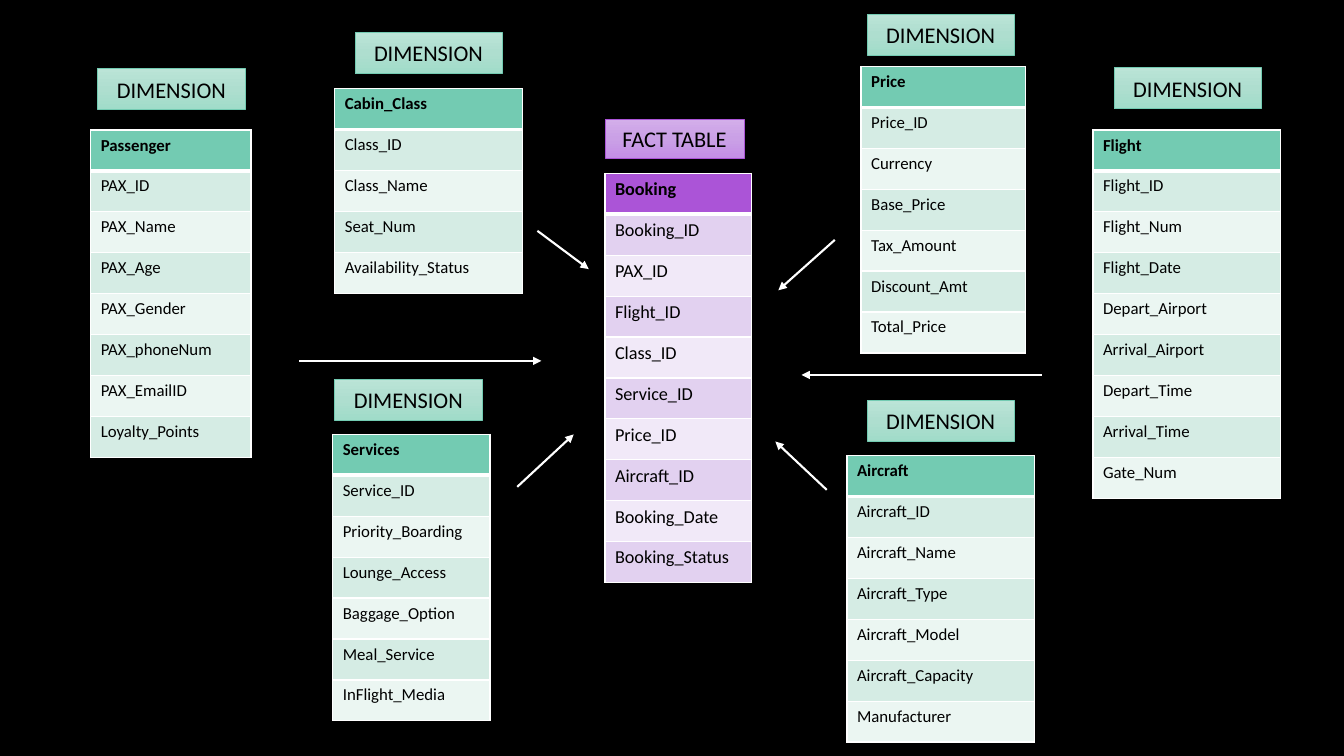
import pptx
import pptx.dml.color
import pptx.enum.shapes
import pptx.enum.text
import pptx.oxml.ns
import pptx.util
from lxml import etree

EMU_PER_PX = 9144  # 100 px to the inch
FONT = "Calibri"
BLACK, WHITE = "000000", "FFFFFF"

GREEN = {"main": "73CBB2", "bands": ("D5ECE4", "EBF6F2"), "gradient": ("BBE4D7", "AEDECF", "A0DCC9")}
PURPLE = {"main": "AB54D7", "bands": ("E2D1F0", "F1E9F8"), "gradient": ("D3AEEA", "CAA0E6", "C48FE6")}

# left, top, width, theme, text size, header and fields
TABLES = [
    (90, 129, 159, GREEN, 12, "Passenger PAX_ID PAX_Name PAX_Age PAX_Gender PAX_phoneNum "
                              "PAX_EmailID Loyalty_Points"),
    (1084, 129, 186, GREEN, 12, "Flight Flight_ID Flight_Num Flight_Date Depart_Airport "
                                "Arrival_Airport Depart_Time Arrival_Time Gate_Num"),
    (854, 66, 163, GREEN, 12, "Price Price_ID Currency Base_Price Tax_Amount Discount_Amt Total_Price"),
    (840, 452, 186, GREEN, 12, "Aircraft Aircraft_ID Aircraft_Name Aircraft_Type Aircraft_Model "
                               "Aircraft_Capacity Manufacturer"),
    (600, 172, 145, PURPLE, 13, "Booking Booking_ID PAX_ID Flight_ID Class_ID Service_ID Price_ID "
                                "Aircraft_ID Booking_Date Booking_Status"),
    (332, 88, 186, GREEN, 12, "Cabin_Class Class_ID Class_Name Seat_Num Availability_Status"),
    (330, 431, 156, GREEN, 12, "Services Service_ID Priority_Boarding Lounge_Access Baggage_Option "
                               "Meal_Service InFlight_Media"),
]
ARROWS = [
    (533, 229, 584, 267),
    (513, 483, 569, 431),
    (297, 358, 537, 358),
    (828, 238, 772, 288),
    (820, 486, 769, 438),
    (1033, 372, 795, 372),
]
DIMENSION_LABELS = [(332, 376), (352, 32), (97, 68), (860, 397), (1105, 67), (860, 14)]


def px(length):
    return pptx.util.Emu(length * EMU_PER_PX)


def rgb(color):
    return pptx.dml.color.RGBColor.from_string(color)


def add_xml(parent, tag, **attributes):
    return etree.SubElement(parent, pptx.oxml.ns.qn(tag), **attributes)


def format_text(paragraph, size, bold=False):
    for run in paragraph.runs:
        run.font.name = FONT
        run.font.size = pptx.util.Pt(size)
        run.font.bold = bold
        run.font.color.rgb = rgb(BLACK)


def set_borders(cell, top, bottom):
    """Draw white borders, with the top and bottom widths in points."""
    properties = cell._tc.get_or_add_tcPr()
    for position, (side, width) in enumerate((("L", 1), ("R", 1), ("T", top), ("B", bottom))):
        line = add_xml(properties, f"a:ln{side}", w=str(pptx.util.Pt(width)))
        add_xml(add_xml(line, "a:solidFill"), "a:srgbClr", val=WHITE)
        properties.insert(position, line)


def add_entity_table(slide, left, top, width, theme, size, names):
    names = names.split()
    row_height = px(406) // 10
    table = slide.shapes.add_table(
        len(names), 1, px(left), px(top), px(width), row_height * len(names)).table
    table.horz_banding = False
    for index, name in enumerate(names):
        is_header = index == 0
        table.rows[index].height = row_height
        cell = table.cell(index, 0)
        cell.text_frame.text = name
        format_text(cell.text_frame.paragraphs[0], size, bold=is_header)
        cell.fill.solid()
        cell.fill.fore_color.rgb = rgb(theme["main"] if is_header else theme["bands"][(index - 1) % 2])
        set_borders(cell, top=3 if index == 1 else 1, bottom=3 if is_header else 1)


def add_arrow(slide, *ends):
    connector = slide.shapes.add_connector(
        pptx.enum.shapes.MSO_CONNECTOR.STRAIGHT, *map(px, ends))
    connector.line.color.rgb = rgb(WHITE)
    connector.line.width = pptx.util.Pt(1.5)
    add_xml(connector.line._get_or_add_ln(), "a:tailEnd", type="triangle")
    add_xml(connector._element.spPr, "a:effectLst")


def add_label(slide, text, left, top, width, height, theme):
    shape = slide.shapes.add_shape(
        pptx.enum.shapes.MSO_SHAPE.RECTANGLE, px(left), px(top), px(width), px(height))
    shape.shadow.inherit = False
    shape.line.color.rgb = rgb(theme["main"])
    shape.line.width = pptx.util.Pt(0.5)
    shape.fill.gradient()
    shape.fill.gradient_angle = 270
    stops = shape._element.spPr.find(".//" + pptx.oxml.ns.qn("a:gsLst"))
    stops.clear()
    for index, color in enumerate(theme["gradient"]):
        add_xml(add_xml(stops, "a:gs", pos=str(index * 50000)), "a:srgbClr", val=color)
    frame = shape.text_frame
    frame.text = text
    frame.vertical_anchor = pptx.enum.text.MSO_ANCHOR.MIDDLE
    frame.paragraphs[0].alignment = pptx.enum.text.PP_ALIGN.CENTER
    format_text(frame.paragraphs[0], 16)


def main():
    presentation = pptx.Presentation()
    presentation.slide_width, presentation.slide_height = px(1333), px(750)
    slide = presentation.slides.add_slide(presentation.slide_layouts[6])
    slide.background.fill.solid()
    slide.background.fill.fore_color.rgb = rgb(BLACK)
    for table in TABLES:
        add_entity_table(slide, *table)
    for arrow in ARROWS:
        add_arrow(slide, *arrow)
    add_label(slide, "FACT TABLE", 600, 118, 138, 39, PURPLE)
    for left, top in DIMENSION_LABELS:
        add_label(slide, "DIMENSION", left, top, 146, 41, GREEN)
    presentation.save("out.pptx")


if __name__ == "__main__":
    main()
